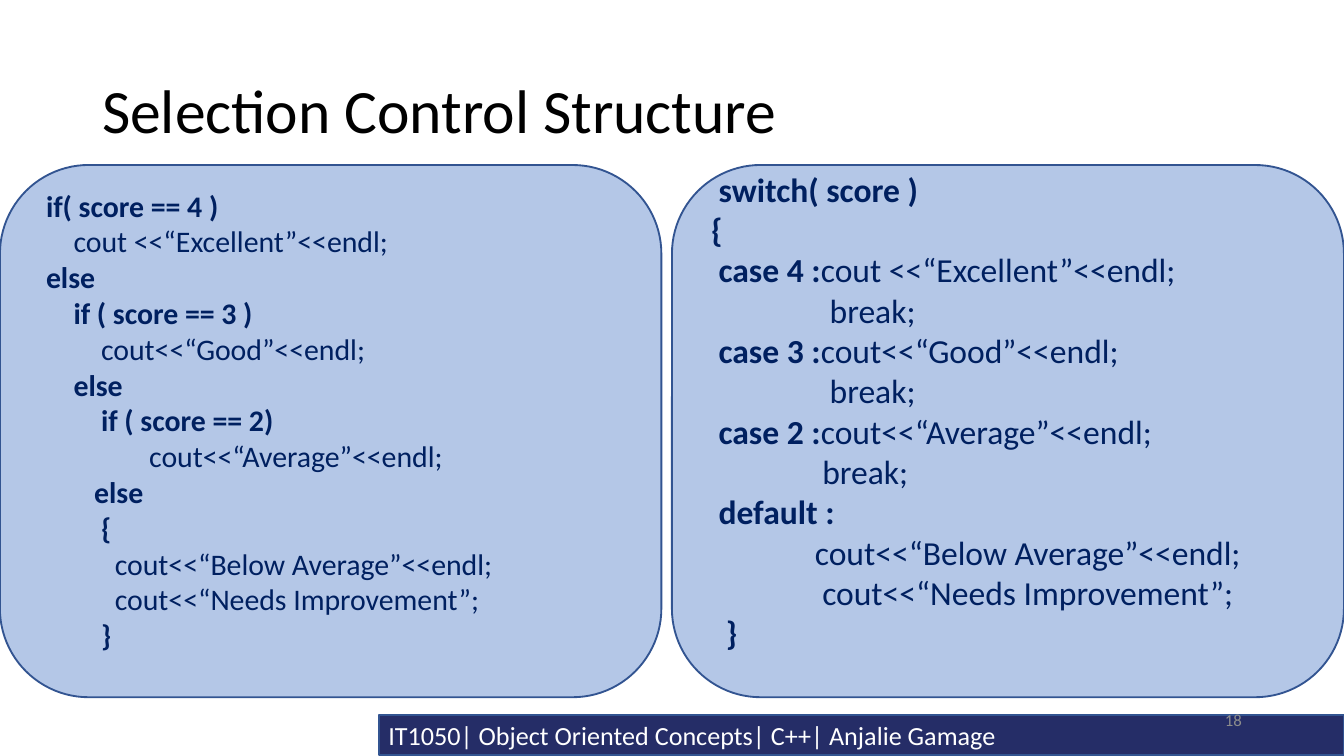
from dataclasses import dataclass

from pptx import Presentation
from pptx.dml.color import RGBColor
from pptx.enum.shapes import MSO_SHAPE
from pptx.enum.text import MSO_ANCHOR, PP_ALIGN
from pptx.util import Cm, Pt

COLOURS = {
    "navy": "252D67",
    "border": "325491",
    "panel": "B4C7E7",
    "code": "002060",
    "title": "000000",
    "number": "8C8C8C",
    "white": "FFFFFF",
}
FONT = "Calibri"


@dataclass(frozen=True)
class Box:
    left: float
    top: float
    width: float
    height: float

    def lengths(self):
        return [Cm(value) for value in (self.left, self.top, self.width, self.height)]


@dataclass(frozen=True)
class CodeLine:
    column: int
    keyword: str = ""
    statement: str = ""


@dataclass(frozen=True)
class CodePanel:
    box: Box
    size: int
    column_width: float
    top_inset: float
    bottom_inset: float
    lines: tuple[CodeLine, ...]


IF_PANEL = CodePanel(Box(0, 3.12, 12.5, 10.06), 16, 0.13, 0.4, 0.82, (
    CodeLine(1, "if( score == 4 )"),
    CodeLine(5, statement="cout <<“Excellent”<<endl;"),
    CodeLine(1, "else"),
    CodeLine(5, "if ( score == 3 )"),
    CodeLine(9, statement="cout<<“Good”<<endl;"),
    CodeLine(5, "else"),
    CodeLine(9, "if ( score == 2)"),
    CodeLine(16, statement="cout<<“Average”<<endl;"),
    CodeLine(8, "else"),
    CodeLine(9, "{"),
    CodeLine(11, statement="cout<<“Below Average”<<endl;"),
    CodeLine(11, statement="cout<<“Needs Improvement”;"),
    CodeLine(9, "}"),
))
SWITCH_PANEL = CodePanel(Box(12.7, 3.12, 12.7, 10.06), 18, 0.14, 0.21, 0.99, (
    CodeLine(1, "switch( score )"),
    CodeLine(0, "{"),
    CodeLine(1, "case 4 :", "cout <<“Excellent”<<endl;"),
    CodeLine(16, statement="break;"),
    CodeLine(1, "case 3 :", "cout<<“Good”<<endl;"),
    CodeLine(16, statement="break;"),
    CodeLine(1, "case 2 :", "cout<<“Average”<<endl;"),
    CodeLine(15, statement="break;"),
    CodeLine(1, "default :"),
    CodeLine(14, statement="cout<<“Below Average”<<endl;"),
    CodeLine(15, statement="cout<<“Needs Improvement”;"),
    CodeLine(2, "}"),
))


def colour(name: str) -> RGBColor:
    return RGBColor.from_string(COLOURS[name])


def add_text(paragraph, text: str, *, size: int, color: str, bold: bool = False,
             align=PP_ALIGN.LEFT, spacing: float = 1.0) -> None:
    paragraph.alignment = align
    paragraph.line_spacing = spacing
    run = paragraph.add_run()
    run.text = text
    run.font.name = FONT
    run.font.size = Pt(size)
    run.font.bold = bold
    run.font.color.rgb = colour(color)


def set_frame(shape, side: float, top: float, bottom: float):
    """Wrap and centre the text vertically within insets given in centimetres."""
    frame = shape.text_frame
    frame.word_wrap = True
    frame.vertical_anchor = MSO_ANCHOR.MIDDLE
    frame.margin_left = frame.margin_right = Cm(side)
    frame.margin_top, frame.margin_bottom = Cm(top), Cm(bottom)
    return frame


def add_block(slide, kind, box: Box, fill: str):
    shape = slide.shapes.add_shape(kind, *box.lengths())
    shape.shadow.inherit = False
    shape.fill.solid()
    shape.fill.fore_color.rgb = colour(fill)
    shape.line.color.rgb = colour("border")
    shape.line.width = Pt(1)
    return shape


def add_label(shape, text: str, **text_format) -> None:
    frame = set_frame(shape, 0.18, 0.1, 0.1)
    add_text(frame.paragraphs[0], text, **text_format)


def add_code_panel(slide, panel: CodePanel) -> None:
    shape = add_block(slide, MSO_SHAPE.ROUNDED_RECTANGLE, panel.box, "panel")
    frame = set_frame(shape, 0.25, panel.top_inset, panel.bottom_inset)
    for index, line in enumerate(panel.lines):
        paragraph = frame.add_paragraph() if index else frame.paragraphs[0]
        indent = Cm(line.column * panel.column_width)
        paragraph._p.get_or_add_pPr().set("marL", str(indent))
        for text, bold in ((line.keyword, True), (line.statement, False)):
            if text:
                add_text(paragraph, text, size=panel.size, color="code", bold=bold)


def main() -> None:
    presentation = Presentation()
    presentation.slide_width, presentation.slide_height = Cm(25.4), Cm(14.29)
    slide = presentation.slides.add_slide(presentation.slide_layouts[6])

    footer = add_block(slide, MSO_SHAPE.RECTANGLE, Box(7.16, 13.51, 18.24, 0.76), "navy")
    add_label(footer, "IT1050| Object Oriented Concepts| C++| Anjalie Gamage",
              size=14, color="white")
    title = slide.shapes.add_textbox(*Box(1.75, 0.76, 21.89, 2.77).lengths())
    add_label(title, "Selection Control Structure", size=33, color="title", spacing=0.9)
    number = slide.shapes.add_textbox(*Box(17.93, 13.23, 5.72, 0.76).lengths())
    add_label(number, "18", size=9, color="number", align=PP_ALIGN.RIGHT)

    for panel in (IF_PANEL, SWITCH_PANEL):
        add_code_panel(slide, panel)
    presentation.save("out.pptx")


if __name__ == "__main__":
    main()
